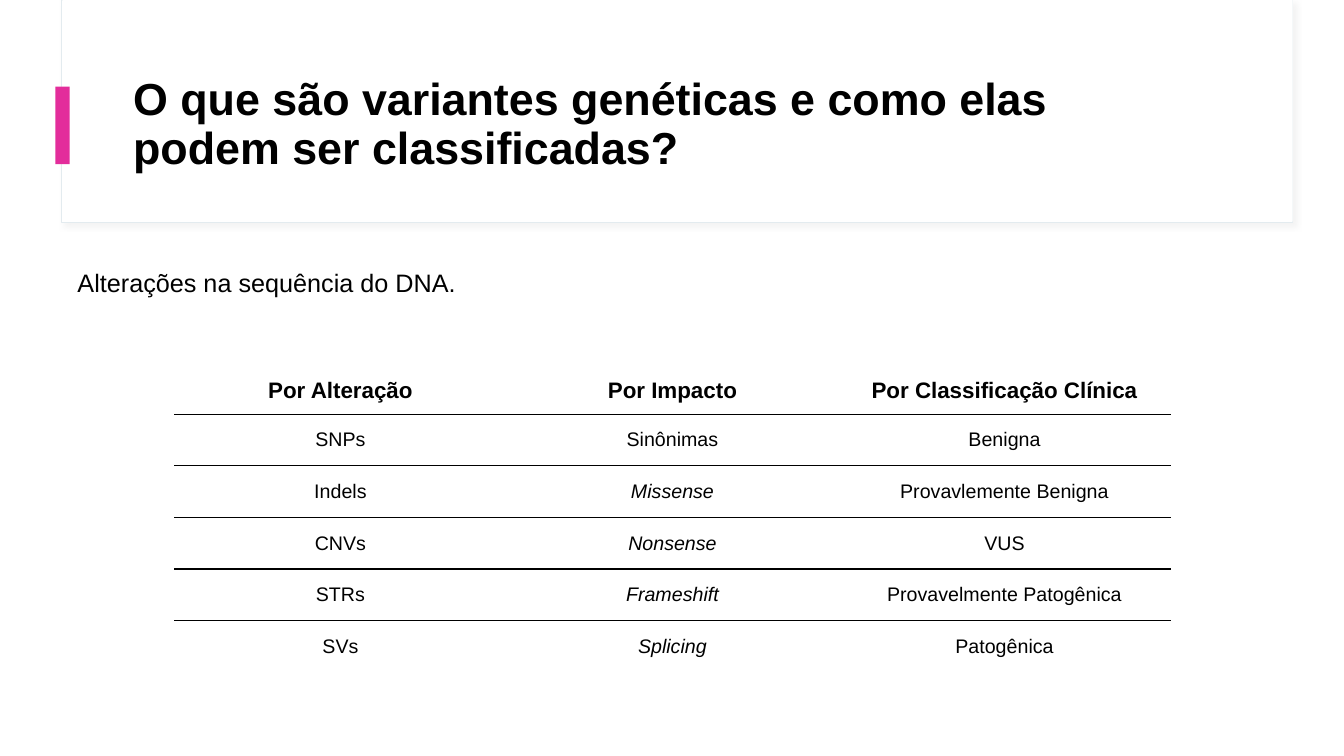
from dataclasses import dataclass

from lxml.etree import SubElement
from pptx import Presentation
from pptx.dml.color import RGBColor
from pptx.enum.shapes import MSO_SHAPE
from pptx.enum.text import MSO_ANCHOR as Anchor, PP_ALIGN as Align
from pptx.oxml import parse_xml
from pptx.oxml.ns import nsdecls, qn
from pptx.util import Inches, Pt


@dataclass(frozen=True)
class Theme:
    """Colours, font and type sizes of the slide."""
    font: str = "Arial"
    ink: str = "000000"
    paper: str = "FFFFFF"
    frame: str = "E3EBEF"
    shade: str = "D9D9D9"
    accent: str = "E32D9B"
    title: int = 32
    lead: int = 18
    header: int = 16
    cell: int = 14


THEME = Theme()
NO_TABLE_STYLE = "{2D5ABB26-0587-4C30-8999-92F81FD0307C}"
CLASSES = [
    ("Por Alteração", "Por Impacto", "Por Classificação Clínica"),
    ("SNPs", "Sinônimas", "Benigna"),
    ("Indels", "Missense", "Provavlemente Benigna"),
    ("CNVs", "Nonsense", "VUS"),
    ("STRs", "Frameshift", "Provavelmente Patogênica"),
    ("SVs", "Splicing", "Patogênica"),
]
FOREIGN_TERMS = {"Missense", "Nonsense", "Frameshift", "Splicing"}


def write(frame, text, size, bold=False, italic=False, align=Align.LEFT, spacing=1.0):
    """Put one formatted paragraph into a text frame."""
    paragraph = frame.paragraphs[0]
    paragraph.alignment = align
    paragraph.line_spacing = spacing
    run = paragraph.add_run()
    run.text = text
    run.font.name = THEME.font
    run.font.size = Pt(size)
    run.font.bold = bold
    run.font.italic = italic
    run.font.color.rgb = RGBColor.from_string(THEME.ink)


def add_block(slide, left, top, width, height, fill, line=None):
    """Add a plain rectangle, outlined only when a line colour is given."""
    block = slide.shapes.add_shape(
        MSO_SHAPE.RECTANGLE, Inches(left), Inches(top), Inches(width), Inches(height))
    block.shadow.inherit = False
    block.fill.solid()
    block.fill.fore_color.rgb = RGBColor.from_string(fill)
    if line:
        block.line.color.rgb = RGBColor.from_string(line)
        block.line.width = Pt(0.75)
    else:
        block.line.fill.background()
    return block


def cast_shadow(block):
    """Give a block a faint shadow down and to the right."""
    effects = block._element.spPr.find(qn("a:effectLst"))
    effects.append(parse_xml(
        f'<a:outerShdw {nsdecls("a")} blurRad="{Pt(4)}" dist="{Pt(3)}" dir="2700000" '
        f'algn="tl" rotWithShape="0"><a:srgbClr val="{THEME.shade}">'
        '<a:alpha val="30000"/></a:srgbClr></a:outerShdw>'))


def add_heading(slide, left, top, width, height, text):
    """Draw the framed panel with its accent bar and the title."""
    cast_shadow(add_block(slide, left, top, width, height, THEME.paper, THEME.frame))
    add_block(slide, left + 0.01, top, width - 0.01, height - 0.01, THEME.paper)
    add_block(slide, left - 0.06, top + 0.86, 0.14, 0.77, THEME.accent)
    title = slide.shapes.title
    title.left, title.top = Inches(left + 0.61), Inches(top + 0.6)
    title.width, title.height = Inches(10.78), Inches(1.29)
    title.text_frame.word_wrap = True
    title.text_frame.vertical_anchor = Anchor.MIDDLE
    write(title.text_frame, text, THEME.title, bold=True, spacing=0.9)
    slide.shapes._spTree.append(title._element)


def add_lead(slide, left, top, width, height, text):
    """Add the short definition below the heading."""
    lead = slide.shapes.add_textbox(
        Inches(left), Inches(top), Inches(width), Inches(height))
    lead.text_frame.word_wrap = True
    write(lead.text_frame, text, THEME.lead)


def rule_edge(cell, edge):
    """Draw a thin rule on one edge of a cell."""
    rule = SubElement(cell._tc.get_or_add_tcPr(), qn(f"a:{edge}"), w=str(Pt(1)))
    fill = SubElement(rule, qn("a:solidFill"))
    SubElement(fill, qn("a:srgbClr"), val=THEME.ink)


def add_classes(slide, left, top, width, height, rows, header_height=0.41):
    """Add the table of classes with rules between its rows."""
    last = len(rows) - 1
    table = slide.shapes.add_table(
        len(rows), len(rows[0]), Inches(left), Inches(top),
        Inches(width), Inches(height)).table
    table.first_row = table.horz_banding = False
    table._tbl.tblPr.find(qn("a:tableStyleId")).text = NO_TABLE_STYLE
    for column in table.columns:
        column.width = Inches(width / len(rows[0]))
    for r, labels in enumerate(rows):
        is_header = r == 0
        table.rows[r].height = Inches(
            header_height if is_header else (height - header_height) / last)
        for c, label in enumerate(labels):
            cell = table.cell(r, c)
            cell.vertical_anchor = Anchor.TOP if is_header else Anchor.MIDDLE
            write(cell.text_frame, label, THEME.header if is_header else THEME.cell,
                  bold=is_header, italic=label in FOREIGN_TERMS, align=Align.CENTER)
            if r > 0:
                rule_edge(cell, "lnT")
            if r < last:
                rule_edge(cell, "lnB")
            cell.fill.background()


def main():
    """Build the slide and save it."""
    deck = Presentation()
    deck.slide_width, deck.slide_height = Inches(13.33), Inches(7.5)
    slide = deck.slides.add_slide(deck.slide_layouts[5])
    add_heading(slide, 0.61, 0, 12.21, 2.21,
                "O que são variantes genéticas e como elas podem ser classificadas?")
    add_lead(slide, 0.67, 2.6, 7.61, 0.4, "Alterações na sequência do DNA.")
    add_classes(slide, 1.73, 3.7, 9.88, 2.97, CLASSES)
    deck.save("out.pptx")


if __name__ == "__main__":
    main()
